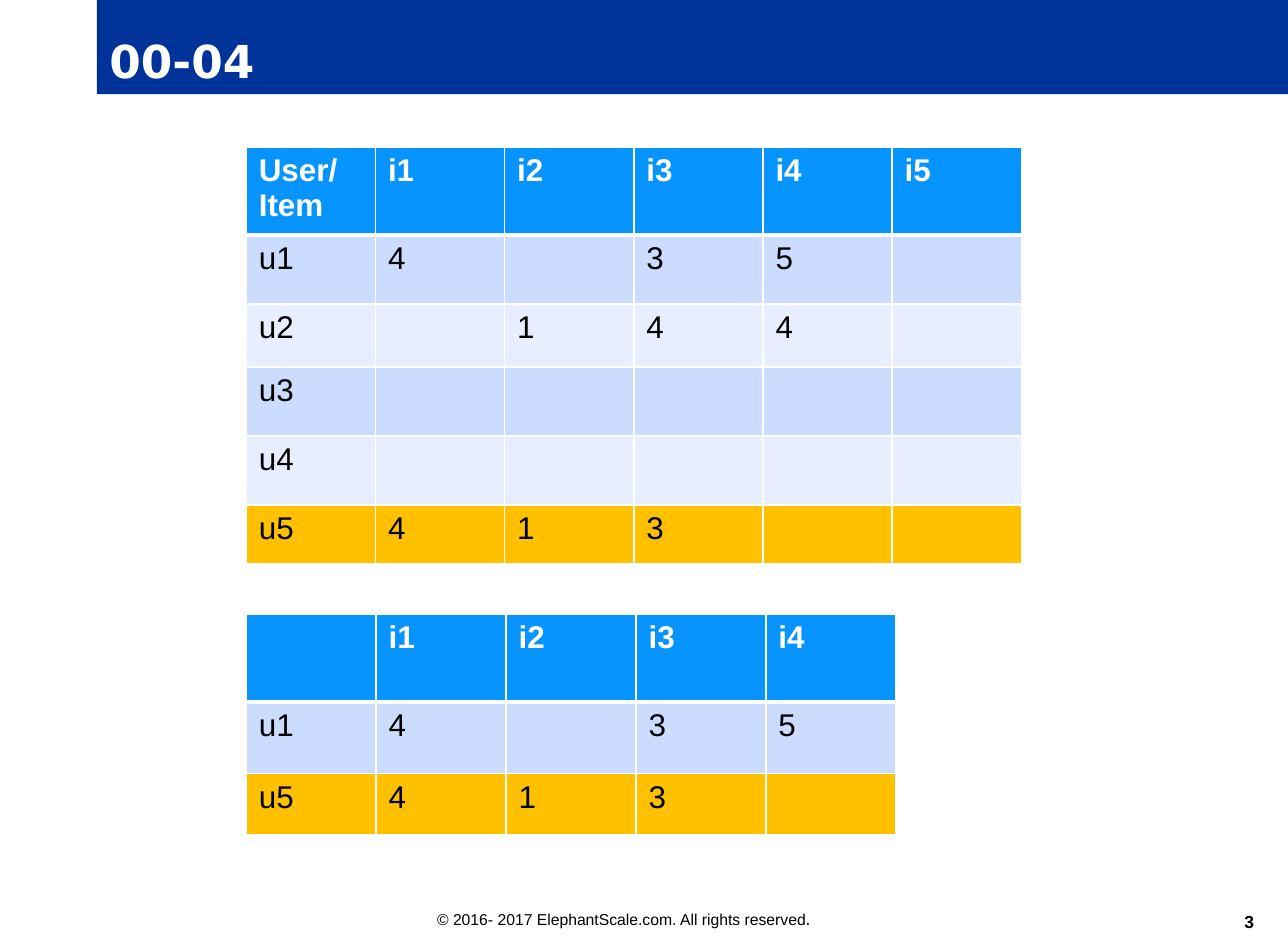
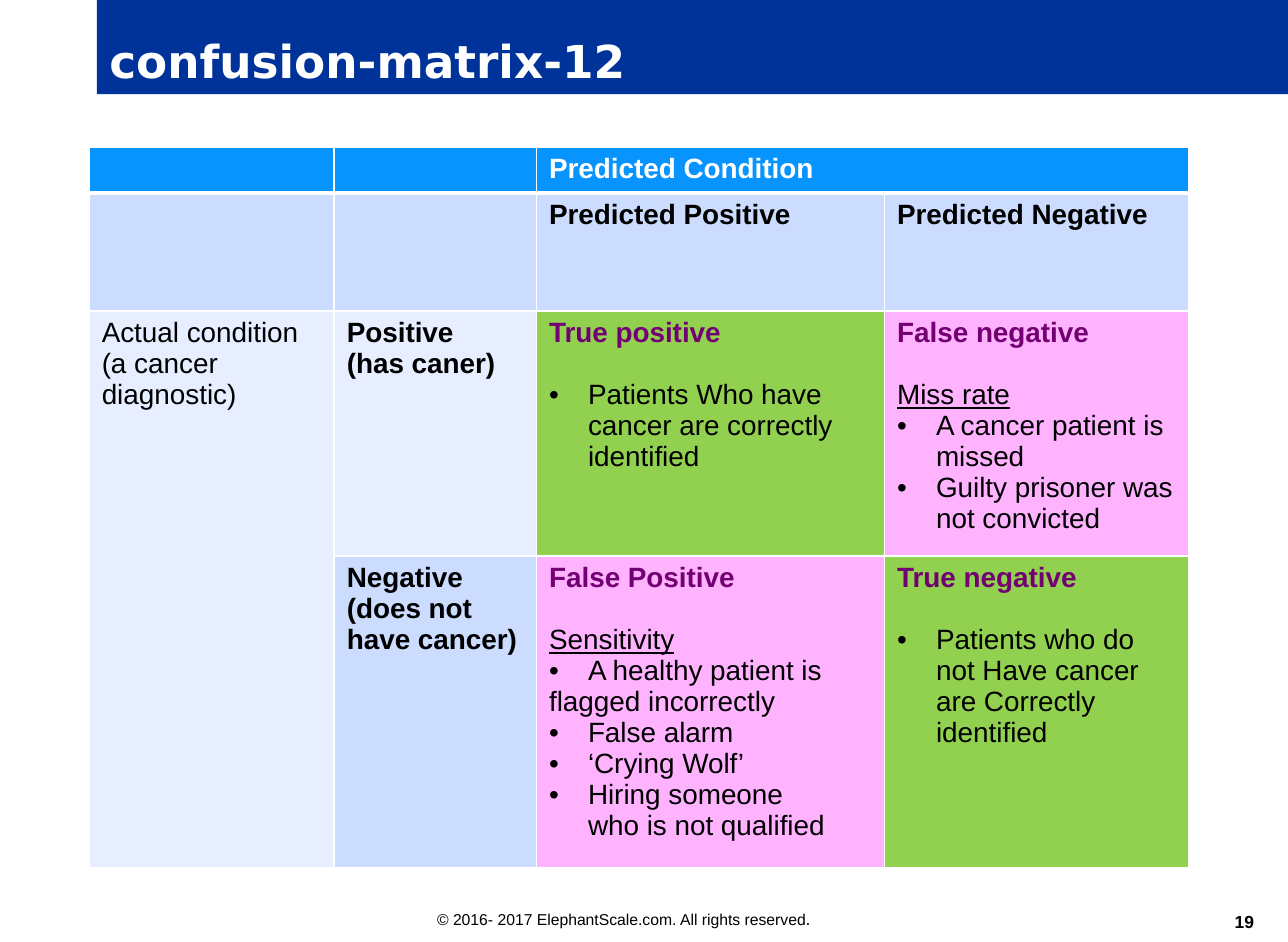
from dataclasses import dataclass

from lxml import etree
from pptx import Presentation
from pptx import util as u
from pptx.dml.color import RGBColor
from pptx.enum import text
from pptx.oxml import ns


@dataclass(frozen=True)
class Theme:
    """Colours, fonts and type sizes of the deck."""
    band: str = "003399"
    header: str = "0794FF"
    tint: str = "CCDCFF"
    pale: str = "E7EEFF"
    target: str = "FFC000"
    correct: str = "92D050"
    wrong: str = "FFB3FF"
    outcome: str = "730073"
    white: str = "FFFFFF"
    black: str = "000000"
    title_font: str = "DejaVu Sans"
    body_font: str = "Arial"
    title_size: float = 26
    rating_size: float = 18
    matrix_size: float = 16
    footer_size: float = 9
    number_size: float = 10
    thin: float = 0.96
    thick: float = 3


T = Theme()
FOOTER = "© 2016- 2017 ElephantScale.com. All rights reserved"
TITLE_BOX = (0.77, 0, 9.48, 0.75)
FOOTER_BOX = (3.38, 7.18, 4.65, 0.26)
NUMBER_BOX = (9.38, 7.17, 0.6, 0.25)
INDENT = 0.31

RATINGS = [
    [["User/", "Item"], "i1", "i2", "i3", "i4", "i5"],
    ["u1", "4", "", "3", "5", ""],
    ["u2", "", "1", "4", "4", ""],
    ["u3", "", "", "", "", ""],
    ["u4", "", "", "", "", ""],
    ["u5", "4", "1", "3", "", ""],
]
NEIGHBOURS = [
    ["", "i1", "i2", "i3", "i4"],
    ["u1", "4", "", "3", "5"],
    ["u5", "4", "1", "3", ""],
]
MATRIX = {
    (0, 2): [("header", "Predicted Condition")],
    (1, 2): [("strong", "Predicted Positive")],
    (1, 3): [("strong", "Predicted Negative")],
    (2, 0): [("plain", "Actual condition"), ("plain", "(a cancer diagnostic)")],
    (2, 1): [("strong", "Positive"), ("strong", "(has caner)")],
    (2, 2): [("outcome", "True positive"),
             ("bullet", "Patients Who have cancer are correctly identified")],
    (2, 3): [("outcome", "False negative"), ("under", "Miss rate"),
             ("bullet", "A cancer patient is missed"),
             ("bullet", "Guilty prisoner was not convicted")],
    (3, 1): [("strong", "Negative"), ("strong", "(does not have cancer)")],
    (3, 2): [("outcome", "False Positive"), ("under", "Sensitivity"),
             ("bullet", "A healthy patient is"), ("plain", "flagged incorrectly"),
             ("bullet", "False alarm"), ("bullet", "‘Crying Wolf’"),
             ("bullet", "Hiring someone"), ("indented", "who is not qualified")],
    (3, 3): [("outcome", "True negative"),
             ("bullet", "Patients who do not Have cancer are Correctly identified")],
}
KIND_COLORS = {"header": T.white, "outcome": T.outcome}
BOLD_KINDS = {"header", "strong", "outcome"}


def inches(values):
    """Convert a box to lengths."""
    return [u.Inches(v) for v in values]


def set_font(font, size, color=T.black, bold=False, name=T.body_font):
    """Format a paragraph font."""
    font.name, font.size, font.bold = name, u.Pt(size), bold
    font.color.rgb = RGBColor.from_string(color)


def fill_solid(item, color):
    """Fill a shape or cell with one colour."""
    item.fill.solid()
    item.fill.fore_color.rgb = RGBColor.from_string(color)


def add_text(slide, box):
    """Add a wrapping text box and return its frame."""
    tf = slide.shapes.add_textbox(*inches(box)).text_frame
    tf.word_wrap = True
    return tf


def add_frame(prs, title, number):
    """Add a slide with its title band, copyright line and number."""
    slide = prs.slides.add_slide(prs.slide_layouts[5])
    sp = slide.shapes.title
    sp.left, sp.top, sp.width, sp.height = inches(TITLE_BOX)
    fill_solid(sp, T.band)
    tf = sp.text_frame
    tf.text = title
    tf.auto_size = text.MSO_AUTO_SIZE.NONE
    tf.vertical_anchor = text.MSO_ANCHOR.BOTTOM
    p = tf.paragraphs[0]
    p.alignment = text.PP_ALIGN.LEFT
    set_font(p.font, T.title_size, T.white, True, T.title_font)

    p = add_text(slide, FOOTER_BOX).paragraphs[0]
    p.add_run().text = FOOTER
    r = p.add_run()
    r.text = "."
    r.font.size = u.Pt(T.number_size)
    set_font(p.font, T.footer_size)

    tf = add_text(slide, NUMBER_BOX)
    tf.margin_left = tf.margin_right = tf.margin_top = tf.margin_bottom = 0
    tf.vertical_anchor = text.MSO_ANCHOR.BOTTOM
    p = tf.paragraphs[0]
    p.text = str(number)
    p.alignment = text.PP_ALIGN.RIGHT
    set_font(p.font, T.number_size, bold=True)
    return slide


def add_borders(cell, row):
    """Draw white cell borders, heavy between header and body."""
    props = cell._tc.get_or_add_tcPr()
    heavy = {0: "lnB", 1: "lnT"}.get(row)
    for side in ("lnL", "lnR", "lnT", "lnB"):
        width = T.thick if side == heavy else T.thin
        ln = etree.SubElement(props, ns.qn(f"a:{side}"), w=str(int(u.Pt(width))))
        solid = etree.SubElement(ln, ns.qn("a:solidFill"))
        etree.SubElement(solid, ns.qn("a:srgbClr"), val=T.white)


def row_color(row):
    """Give the header colour or the alternating row tint."""
    if row == 0:
        return T.header
    return T.tint if row % 2 else T.pale


def add_grid(slide, left, top, widths, heights):
    """Add a bordered table with the given columns and rows."""
    box = inches((left, top, sum(widths), sum(heights)))
    table = slide.shapes.add_table(len(heights), len(widths), *box).table
    table.horz_banding = False
    for column, width in zip(table.columns, widths):
        column.width = u.Inches(width)
    for i, height in enumerate(heights):
        table.rows[i].height = u.Inches(height)
        for cell in table.rows[i].cells:
            add_borders(cell, i)
            fill_solid(cell, row_color(i))
    return table


def write_cell(cell, items, size):
    """Write paragraphs of (kind, text) into a cell."""
    tf = cell.text_frame
    previous = None
    for i, (kind, line) in enumerate(items):
        p = tf.paragraphs[0] if i == 0 else tf.add_paragraph()
        if line:
            p.text = line
        else:
            p._p.get_or_add_endParaRPr().set("sz", str(size * 100))
        if previous == "outcome":
            p.space_before = u.Pt(18)
        if kind in ("bullet", "indented"):
            props = p._p.get_or_add_pPr()
            props.set("marL", str(u.Inches(INDENT)))
        if kind == "bullet":
            props.set("indent", str(-u.Inches(INDENT)))
            etree.SubElement(props, ns.qn("a:buFont"), typeface=T.body_font)
            etree.SubElement(props, ns.qn("a:buChar"), char="•")
        set_font(p.font, size, KIND_COLORS.get(kind, T.black), kind in BOLD_KINDS)
        if kind == "under":
            p.font.underline = True
        previous = kind


def add_ratings(slide, left, top, width, heights, rows):
    """Add a user and item table whose last row is the target user."""
    count = len(rows[0])
    table = add_grid(slide, left, top, [width / count] * count, heights)
    for i, row in enumerate(rows):
        kind = "plain" if i else "header"
        for j, value in enumerate(row):
            cell = table.cell(i, j)
            lines = value if isinstance(value, list) else [value]
            write_cell(cell, [(kind, line) for line in lines], T.rating_size)
            if i == len(rows) - 1:
                fill_solid(cell, T.target)


def add_matrix(slide, left, top, widths, heights):
    """Add the confusion matrix with its coloured outcomes."""
    table = add_grid(slide, left, top, widths, heights)
    table.cell(0, 2).merge(table.cell(0, 3))
    table.cell(2, 0).merge(table.cell(3, 0))
    for i in range(len(heights)):
        for j in range(len(widths)):
            cell = table.cell(i, j)
            write_cell(cell, MATRIX.get((i, j), [("plain", "")]), T.matrix_size)
            if i >= 2 and j >= 2:
                fill_solid(cell, T.correct if i == j else T.wrong)


def main():
    """Build and save the deck."""
    prs = Presentation()
    prs.slide_width, prs.slide_height = inches((10.25, 7.5))
    slide = add_frame(prs, "00-04", 3)
    add_ratings(slide, 1.96, 1.17, 6.17, [0.67, 0.55, 0.5, 0.55, 0.55, 0.47], RATINGS)
    add_ratings(slide, 1.96, 4.89, 5.17, [0.7, 0.57, 0.49], NEIGHBOURS)
    slide = add_frame(prs, "confusion-matrix-12", 19)
    add_matrix(slide, 0.71, 1.17, [1.95, 1.61, 2.77, 2.42], [0.35, 0.94, 1.83, 2.32])
    prs.save("out.pptx")


if __name__ == "__main__":
    main()
